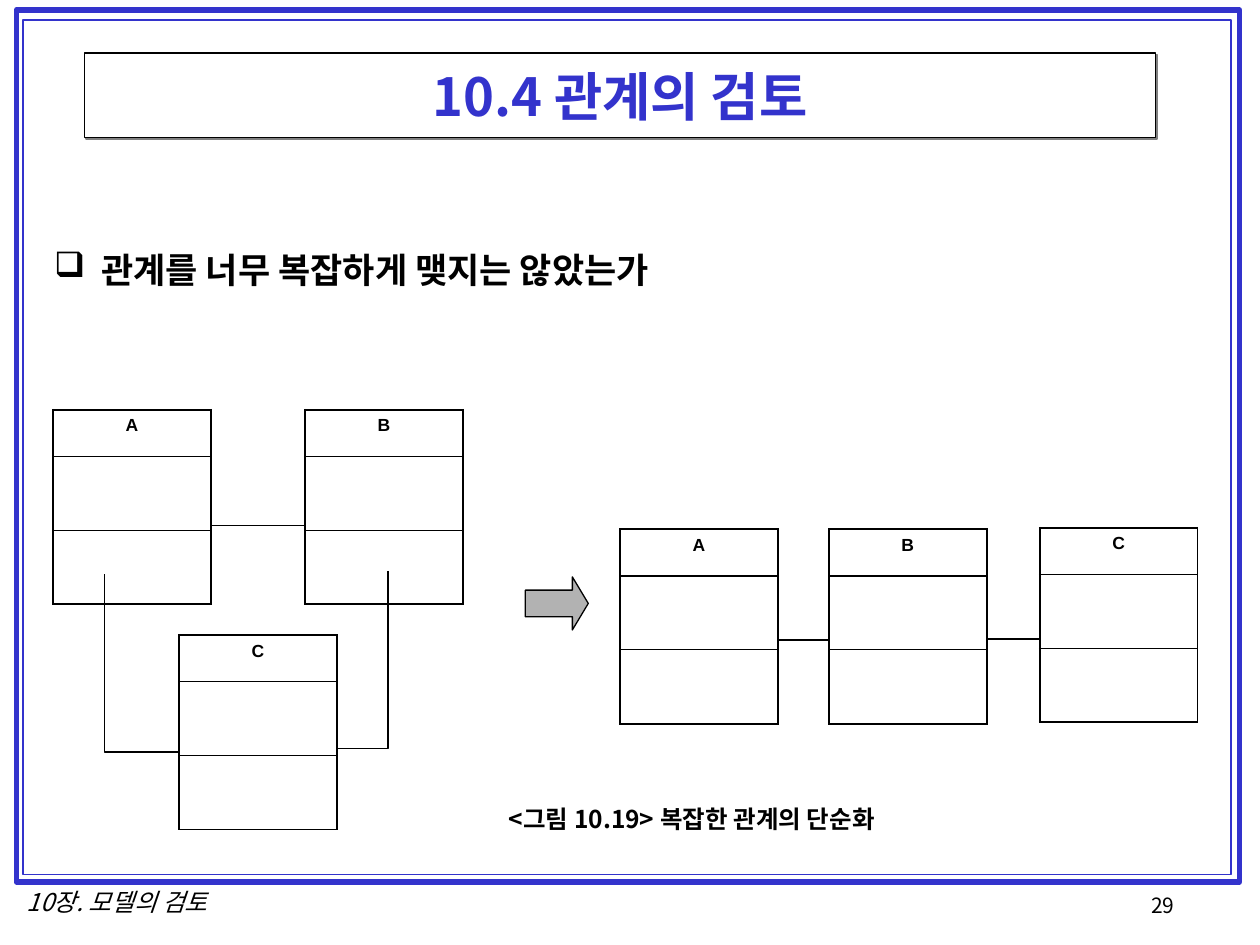
"""Builds a slide on simplifying overly complex relationships between entities."""
from lxml.etree import SubElement
from pptx import Presentation
from pptx.dml.color import RGBColor
from pptx.enum.shapes import MSO_CONNECTOR, MSO_SHAPE
from pptx.enum.text import MSO_ANCHOR, PP_ALIGN
from pptx.oxml.ns import qn
from pptx.util import Cm, Pt

KOREAN, LATIN = "Noto Sans CJK KR", "Arial"
BLUE, BLACK, WHITE, GRAY, SHADOW = "3333CC", "000000", "FFFFFF", "B2B2B2", "808080"

FRAMES = [((0.33, 0.2, 24.66, 17.58), 3), ((0.46, 0.41, 24.36, 17.22), 1)]
TITLE = "10.4 관계의 검토"
TITLE_BOX = (1.7, 1.07, 21.59, 1.7)
QUESTION = "관계를 너무 복잡하게 맺지는 않았는가"
QUESTION_BOX = (0.84, 4.88, 23.55, 12.37)
CAPTION = "<그림 10.19> 복잡한 관계의 단순화"
CAPTION_BOX = (10.01, 16.08, 8.38, 0.86)
CHAPTER = "10장. 모델의 검토"
CHAPTER_BOX = (0.1, 17.75, 4.52, 0.86)
PAGE = "29"
PAGE_BOX = (22.96, 17.86, 2.59, 0.84)

ENTITY_WIDTH = 3.18
ENTITY_ROWS = [0.94, 1.49, 1.49]
ENTITIES = [
    ("A", 1.07, 8.26), ("B", 6.15, 8.26), ("C", 3.61, 12.8),
    ("A", 12.5, 10.67), ("B", 16.71, 10.67), ("C", 20.96, 10.64),
]
STRAIGHT_LINKS = [(4.24, 6.15, 10.59), (15.67, 16.71, 12.9), (19.89, 20.96, 12.88)]
BENT_LINKS = [
    [(7.82, 11.51), (7.82, 15.09), (6.78, 15.09)],
    [(2.11, 11.58), (2.11, 15.16), (3.61, 15.16)],
]
ARROW_BOX = (10.59, 11.63, 1.27, 1.07)


def color(value):
    return RGBColor.from_string(value)


def lengths(values):
    return [Cm(value) for value in values]


def outline(shape, line_color=BLACK, width=0.75, fill=None):
    shape.shadow.inherit = False
    if fill:
        shape.fill.solid()
        shape.fill.fore_color.rgb = color(fill)
    else:
        shape.fill.background()
    shape.line.color.rgb = color(line_color)
    shape.line.width = Pt(width)


def write(paragraph, text, size, font=KOREAN, text_color=BLACK, bold=False,
          italic=False, align=PP_ALIGN.LEFT):
    paragraph.text = text
    paragraph.alignment = align
    style = paragraph.font
    style.size, style.bold, style.italic = Pt(size), bold, italic
    style.color.rgb = color(text_color)
    style.name = font
    defaults = paragraph._p.pPr.find(qn("a:defRPr"))
    SubElement(defaults, qn("a:ea"), typeface=font)


def add_text(slide, box, text, size, wrap=False, **style):
    frame = slide.shapes.add_textbox(*lengths(box)).text_frame
    frame.word_wrap = wrap
    write(frame.paragraphs[0], text, size, **style)
    return frame.paragraphs[0]


def add_title(slide):
    title = slide.shapes.title
    title.left, title.top, title.width, title.height = lengths(TITLE_BOX)
    outline(title, fill=WHITE)
    effects = title._element.spPr.find(qn("a:effectLst"))
    shadow = SubElement(effects, qn("a:outerShdw"), dist=str(Pt(1.4)),
                        dir="2700000", algn="ctr", rotWithShape="0")
    SubElement(shadow, qn("a:srgbClr"), val=SHADOW)
    title.text_frame.vertical_anchor = MSO_ANCHOR.MIDDLE
    write(title.text_frame.paragraphs[0], TITLE, 30, text_color=BLUE, bold=True,
          align=PP_ALIGN.CENTER)


def add_question(slide):
    frame = slide.shapes.add_textbox(*lengths(QUESTION_BOX)).text_frame
    frame.word_wrap = True
    paragraph = frame.paragraphs[0]
    properties = paragraph._p.get_or_add_pPr()
    properties.set("marL", str(Cm(0.95)))
    properties.set("indent", str(-Cm(0.95)))
    bullet_color = SubElement(properties, qn("a:buClr"))
    SubElement(bullet_color, qn("a:srgbClr"), val=BLACK)
    SubElement(properties, qn("a:buChar"), char="❑")
    write(paragraph, QUESTION, 20, bold=True)


def add_border(cell, side, width):
    border = SubElement(cell._tc.get_or_add_tcPr(), qn(f"a:ln{side}"), w=str(Pt(width)))
    fill = SubElement(border, qn("a:solidFill"))
    SubElement(fill, qn("a:srgbClr"), val=BLACK)


def add_entity(slide, name, left, top):
    box = lengths((left, top, ENTITY_WIDTH, sum(ENTITY_ROWS)))
    table = slide.shapes.add_table(len(ENTITY_ROWS), 1, *box).table
    table.first_row = table.horz_banding = False
    for index, height in enumerate(ENTITY_ROWS):
        table.rows[index].height = Cm(height)
        cell = table.cell(index, 0)
        thin_side = {1: "B", 2: "T"}.get(index)
        for side in "LRTB":
            add_border(cell, side, 0.45 if side == thin_side else 1.08)
        cell.fill.background()
    write(table.cell(0, 0).text_frame.paragraphs[0], name, 10, font=LATIN,
          bold=True, align=PP_ALIGN.CENTER)


def add_straight_link(slide, start, end, height):
    link = slide.shapes.add_connector(
        MSO_CONNECTOR.STRAIGHT, *lengths((start, height, end, height)))
    link.line.color.rgb = color(BLACK)
    link.line.width = Pt(0.75)
    SubElement(link._element.spPr, qn("a:effectLst"))


def add_bent_link(slide, points):
    start, *corners = [lengths(point) for point in points]
    builder = slide.shapes.build_freeform(*start)
    builder.add_line_segments(corners, close=False)
    outline(builder.convert_to_shape())


def main():
    deck = Presentation()
    deck.slide_width, deck.slide_height = Cm(25.4), Cm(19.05)
    slide = deck.slides.add_slide(deck.slide_layouts[5])
    for box, width in FRAMES:
        frame = slide.shapes.add_shape(MSO_SHAPE.RECTANGLE, *lengths(box))
        outline(frame, BLUE, width)
    add_text(slide, PAGE_BOX, PAGE, 12)
    add_text(slide, CHAPTER_BOX, CHAPTER, 14, italic=True, align=PP_ALIGN.CENTER)
    add_title(slide)
    add_question(slide)
    for entity in ENTITIES:
        add_entity(slide, *entity)
    for link in STRAIGHT_LINKS:
        add_straight_link(slide, *link)
    for points in BENT_LINKS:
        add_bent_link(slide, points)
    arrow = slide.shapes.add_shape(MSO_SHAPE.RIGHT_ARROW, *lengths(ARROW_BOX))
    arrow.adjustments[0], arrow.adjustments[1] = 0.5, 0.3
    outline(arrow, fill=GRAY)
    add_text(slide, CAPTION_BOX, CAPTION, 14, bold=True)
    deck.save("out.pptx")


if __name__ == "__main__":
    main()
